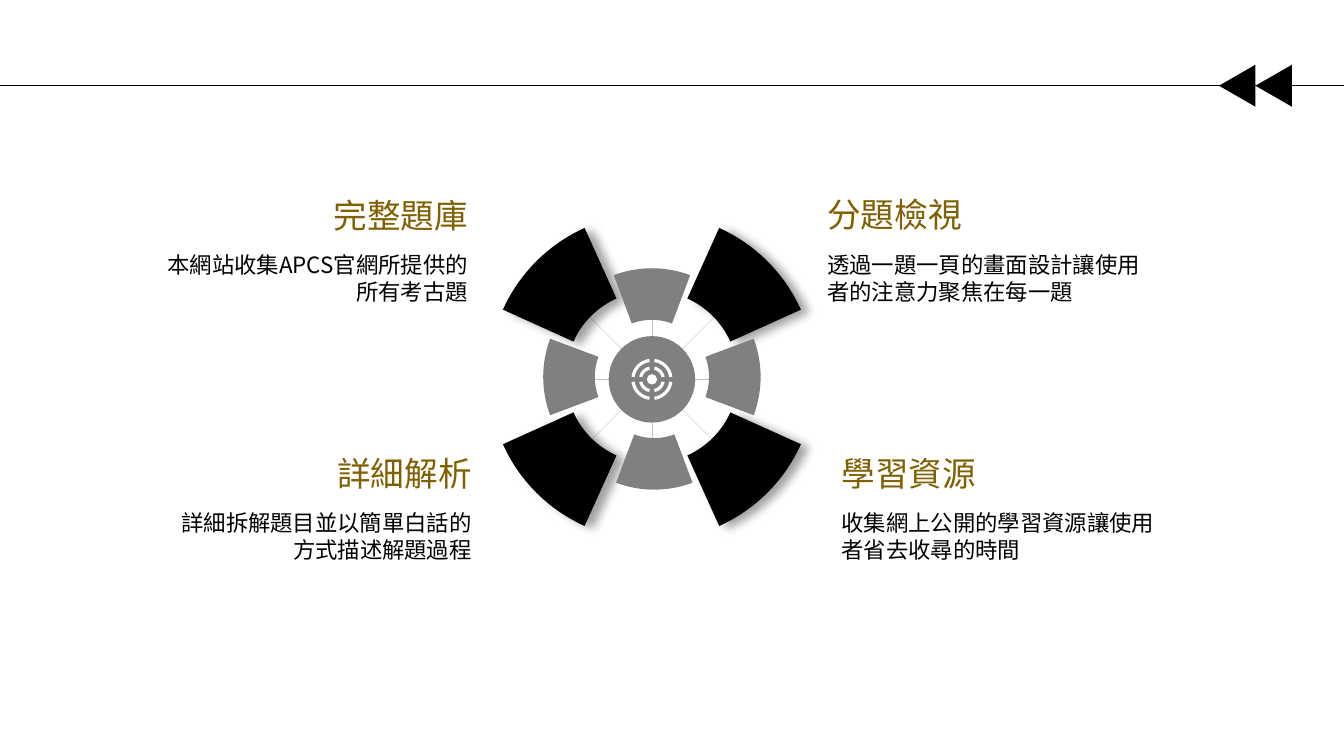
from math import cos, radians, sin, tan

from lxml import etree
from pptx import Presentation
from pptx.dml.color import RGBColor
from pptx.enum.shapes import MSO_CONNECTOR as Connector, MSO_SHAPE as Shape
from pptx.enum.text import MSO_AUTO_SIZE as AutoSize, PP_ALIGN as Align
from pptx.oxml import parse_xml
from pptx.oxml.ns import nsdecls, qn
from pptx.util import Cm, Pt

BLACK = RGBColor(0, 0, 0)
WHITE = RGBColor(255, 255, 255)
GRAY = RGBColor(128, 128, 128)
LIGHT_GRAY = RGBColor(191, 191, 191)
GOLD = RGBColor(128, 96, 0)
FONT = "Noto Sans CJK SC"

SLIDE_WIDTH, SLIDE_HEIGHT = 33.87, 19.05

# Left, top, alignment, title, description paragraphs
TOPICS = [
    (3.54, 4.78, Align.RIGHT, "完整題庫", ["本網站收集APCS官網所提供的所有考古題"]),
    (20.6, 4.77, Align.LEFT, "分題檢視", ["透過一題一頁的畫面設計讓使用者的注意力聚焦在每一題"]),
    (3.64, 11.28, Align.RIGHT, "詳細解析", ["詳細拆解題目並以簡單白話的", "方式描述解題過程"]),
    (20.96, 11.28, Align.LEFT, "學習資源", ["收集網上公開的學習資源讓使用者省去收尋的時間"]),
]


def paint(shape, color):
    shape.shadow.inherit = False
    shape.fill.solid()
    shape.fill.fore_color.rgb = color
    shape.line.fill.background()


def add_text(slide, paragraphs, left, top, width, height, size=16, color=BLACK, align=Align.LEFT):
    box = slide.shapes.add_textbox(Cm(left), Cm(top), Cm(width), Cm(height))
    frame = box.text_frame
    frame.word_wrap = True
    frame.auto_size = AutoSize.SHAPE_TO_FIT_TEXT
    for index, text in enumerate(paragraphs):
        paragraph = frame.paragraphs[0] if index == 0 else frame.add_paragraph()
        paragraph.alignment = align
        run = paragraph.add_run()
        run.text = text
        run.font.name = FONT
        run.font.size = Pt(size)
        run.font.color.rgb = color
        etree.SubElement(run.font._element, qn("a:ea"), typeface=FONT)


def add_line(slide, start, end, color, width):
    points = [Cm(value) for value in (*start, *end)]
    line = slide.shapes.add_connector(Connector.STRAIGHT, *points)
    line.line.color.rgb = color
    line.line.width = Pt(width)
    etree.SubElement(line._element.spPr, qn("a:effectLst"))


def polar(center, radius, angle):
    """Point at an angle in degrees, clockwise from the right."""
    x, y = center
    return x + radius * cos(radians(angle)), y + radius * sin(radians(angle))


def arc(center, radius, start, end):
    """Two control points and the end point of a curve along a circle."""
    reach = 4 / 3 * tan(radians(end - start) / 4) * radius
    first = polar(polar(center, radius, start), reach, start + 90)
    second = polar(polar(center, radius, end), reach, end - 90)
    return [first, second, polar(center, radius, end)]


def sector(center, inner, outer, middle, half_angle):
    """Start point and segments of one piece of a ring."""
    start, end = middle - half_angle, middle + half_angle
    return polar(center, outer, start), [
        arc(center, outer, start, end),
        [polar(center, inner, end)],
        arc(center, inner, end, start),
    ]


def disc(center, radius):
    return polar(center, radius, 0), [arc(center, radius, angle, angle + 90)
                                      for angle in range(0, 360, 90)]


def add_outlines(slide, outlines, color):
    """Draw closed outlines as one shape; a segment of three points is a curve."""
    builder = slide.shapes.build_freeform(*map(Cm, outlines[0][0]))
    for index, (start, segments) in enumerate(outlines):
        if index:
            builder.move_to(*map(Cm, start))
        builder.add_line_segments(
            [(Cm(x), Cm(y)) for segment in segments for x, y in segment], close=True)
    shape = builder.convert_to_shape()
    steps = iter(list(shape._element.iter(qn("a:lnTo"))))
    for _, segments in outlines:
        for segment in segments:
            lines = [next(steps) for _ in segment]
            if len(lines) == 3:
                curve = etree.Element(qn("a:cubicBezTo"))
                lines[0].addprevious(curve)
                for line in lines:
                    curve.append(line[0])
                    line.getparent().remove(line)
    paint(shape, color)
    return shape


def add_soft_shadow(shape):
    properties = shape._element.spPr
    properties.remove(properties.find(qn("a:effectLst")))
    properties.append(parse_xml(
        f'<a:effectLst {nsdecls("a")}><a:outerShdw blurRad="{Pt(7)}" dist="{Pt(6)}" '
        f'dir="{20 * 60000}" algn="ctr" rotWithShape="0"><a:srgbClr val="000000">'
        '<a:alpha val="37000"/></a:srgbClr></a:outerShdw></a:effectLst>'))


def add_header(slide, top, width, arrow_center):
    add_line(slide, (0, top), (width, top), BLACK, 0.5)
    base, depth = 1.06, 0.92
    for index in range(2):
        left = arrow_center - index * depth - base / 2
        triangle = slide.shapes.add_shape(
            Shape.ISOSCELES_TRIANGLE, Cm(left), Cm(top - depth / 2), Cm(base), Cm(depth))
        triangle.rotation = 270
        paint(triangle, BLACK)


def add_target(slide, center):
    rings = [(0.44, 0.52, 37.5), (0.25, 0.33, 32.5)]
    outlines = [sector(center, inner, outer, middle, half_angle)
                for inner, outer, half_angle in rings
                for middle in range(45, 360, 90)]
    outlines.append(disc(center, 0.13))
    add_outlines(slide, outlines, WHITE)


def add_wheel(slide, x, y):
    hub, hub_radius = (x, y + 0.06), 1.09
    for angle in range(0, 360, 45):
        reach = 4.07 if angle % 90 else 2.7
        add_line(slide, polar(hub, hub_radius, angle), polar(hub, reach, angle), LIGHT_GRAY, 0.25)
    for angle in range(45, 360, 90):
        blade = add_outlines(slide, [sector((x, y), 2.17, 4.12, angle, 20.7)], BLACK)
        add_soft_shadow(blade)
    for angle in range(0, 360, 90):
        center = (x + 0.06, y + 0.1) if angle == 90 else (x, y)
        add_outlines(slide, [sector(center, 1.44, 2.74, angle, 20.6)], GRAY)
    circle = slide.shapes.add_shape(
        Shape.OVAL, Cm(hub[0] - hub_radius), Cm(hub[1] - hub_radius),
        Cm(2 * hub_radius), Cm(2 * hub_radius))
    paint(circle, GRAY)
    add_target(slide, hub)


def add_topic(slide, left, top, align, title, description, width=8.5):
    add_text(slide, [title], left, top, width, 1.28, size=24, color=GOLD, align=align)
    add_text(slide, description, left, top + 1.43, width, 1.62, align=align)


def main():
    presentation = Presentation()
    presentation.slide_width = Cm(SLIDE_WIDTH)
    presentation.slide_height = Cm(SLIDE_HEIGHT)
    slide = presentation.slides.add_slide(presentation.slide_layouts[6])
    add_header(slide, 2.16, SLIDE_WIDTH, arrow_center=32.1)
    add_wheel(slide, 16.43, 9.5)
    for topic in TOPICS:
        add_topic(slide, *topic)
    presentation.save("out.pptx")


if __name__ == "__main__":
    main()
